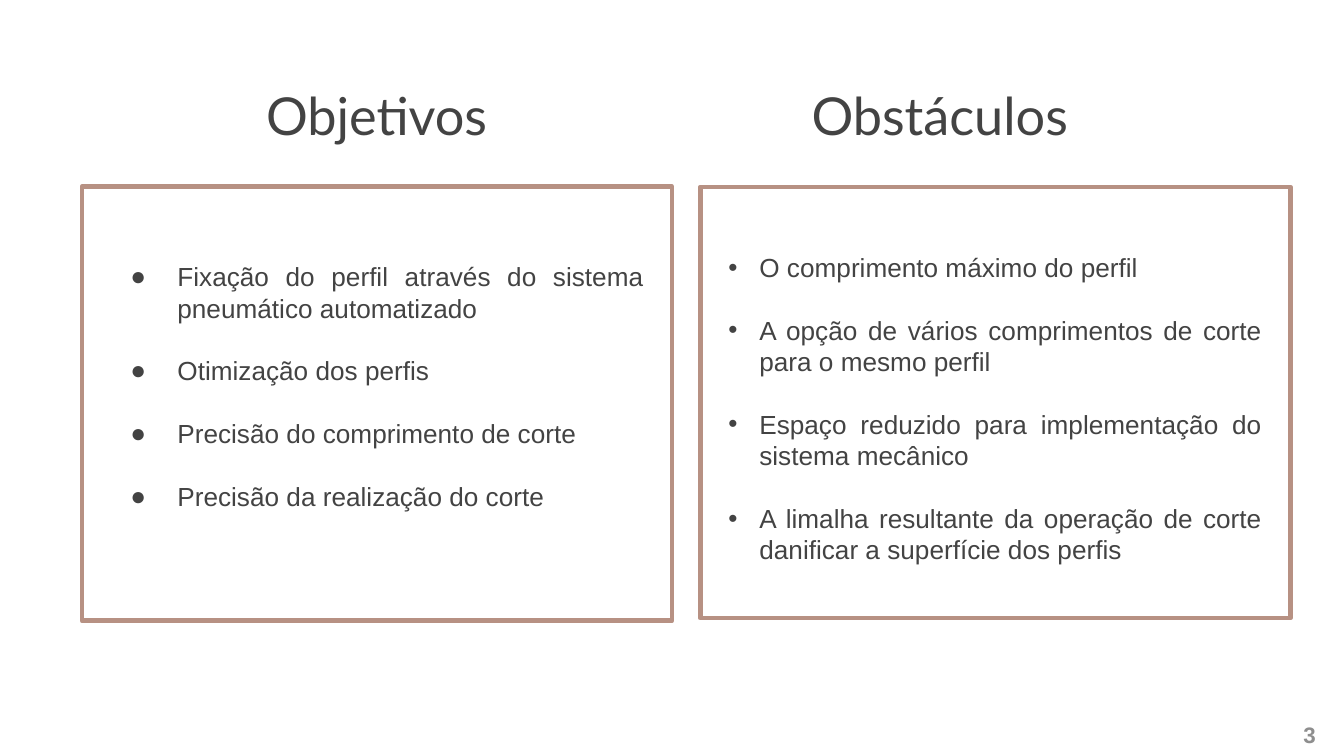
from dataclasses import dataclass

import lxml.etree
import pptx
import pptx.dml.color
import pptx.enum.shapes
import pptx.enum.text
import pptx.oxml.ns
import pptx.util

Inches = pptx.util.Inches
Pt = pptx.util.Pt
ALIGN = pptx.enum.text.PP_ALIGN
Box = tuple[float, float, float, float]


@dataclass(frozen=True)
class Theme:
    text: str = "434343"
    frame: str = "B79183"
    number: str = "8E8E8E"
    body_font: str = "Arial"
    title_font: str = "Lato"
    title_size: float = 28
    body_size: float = 14
    number_size: float = 12
    frame_width: float = 2.5
    line_spacing: float = 1.0
    item_gap: float = 16.8


@dataclass(frozen=True)
class Panel:
    heading: str
    heading_box: Box
    frame_box: Box
    list_box: Box
    bullet: str
    margin: float
    hanging: float
    items: tuple[str, ...]


THEME = Theme()
TITLE = {"name": THEME.title_font, "size": Pt(THEME.title_size), "bold": False}
BODY = {"name": THEME.body_font, "size": Pt(THEME.body_size)}
NUMBER = {"name": THEME.body_font, "size": Pt(THEME.number_size), "bold": True}

PANELS = (
    Panel("Objetivos", (1.88, 0.52, 2.83, 0.67), (0.61, 1.39, 4.39, 3.23),
          (0.75, 1.9, 4.11, 3.73), "●", 0.5, 0.35,
          ("Fixação do perfil através do sistema pneumático automatizado",
           "Otimização dos perfis",
           "Precisão do comprimento de corte",
           "Precisão da realização do corte")),
    Panel("Obstáculos", (5.94, 0.52, 3.93, 0.48), (5.21, 1.39, 4.39, 3.21),
          (5.35, 1.83, 4.11, 2.43), "•", 0.23, 0.23,
          ("O comprimento máximo do perfil",
           "A opção de vários comprimentos de corte para o mesmo perfil",
           "Espaço reduzido para implementação do sistema mecânico",
           "A limalha resultante da operação de corte danificar a superfície dos perfis")),
)


def rgb(color: str) -> pptx.dml.color.RGBColor:
    return pptx.dml.color.RGBColor.from_string(color)


def place(sp, box: Box) -> None:
    for name, value in zip(("left", "top", "width", "height"), box):
        setattr(sp, name, Inches(value))


def setup_frame(tf, inset_x: float, inset_y: float) -> None:
    values = {
        "margin_left": Inches(inset_x), "margin_right": Inches(inset_x),
        "margin_top": Inches(inset_y), "margin_bottom": Inches(inset_y),
        "word_wrap": True,
        "auto_size": pptx.enum.text.MSO_AUTO_SIZE.NONE,
        "vertical_anchor": pptx.enum.text.MSO_ANCHOR.TOP,
    }
    for name, value in values.items():
        setattr(tf, name, value)


def add_run(p, text: str, font: dict, color: str, align: ALIGN) -> None:
    p.alignment = align
    r = p.add_run()
    r.text = text
    for name, value in font.items():
        setattr(r.font, name, value)
    r.font.color.rgb = rgb(color)


def add_bullet(p, panel: Panel) -> None:
    pPr = p._p.get_or_add_pPr()
    pPr.set("marL", str(Inches(panel.margin)))
    pPr.set("indent", str(-Inches(panel.hanging)))
    qn = pptx.oxml.ns.qn
    clr = lxml.etree.SubElement(pPr, qn("a:buClr"))
    lxml.etree.SubElement(clr, qn("a:srgbClr"), val=THEME.text)
    lxml.etree.SubElement(pPr, qn("a:buFont"), typeface=THEME.body_font)
    lxml.etree.SubElement(pPr, qn("a:buChar"), char=panel.bullet)


def add_list(s, panel: Panel) -> None:
    sp = s.shapes.add_textbox(*map(Inches, panel.list_box))
    tf = sp.text_frame
    setup_frame(tf, 0.07, 0.04)
    for i, item in enumerate(panel.items):
        p = tf.add_paragraph() if i else tf.paragraphs[0]
        add_bullet(p, panel)
        p.line_spacing = THEME.line_spacing
        if i:
            p.space_before = Pt(THEME.item_gap)
        add_run(p, item, BODY, THEME.text, ALIGN.JUSTIFY)


def add_frame(s, box: Box) -> None:
    sp = s.shapes.add_shape(
        pptx.enum.shapes.MSO_SHAPE.RECTANGLE, *map(Inches, box))
    sp.shadow.inherit = False
    sp.fill.background()
    sp.line.color.rgb = rgb(THEME.frame)
    sp.line.width = Pt(THEME.frame_width)


def write_heading(sp, panel: Panel) -> None:
    place(sp, panel.heading_box)
    setup_frame(sp.text_frame, 0.1, 0.1)
    add_run(sp.text_frame.paragraphs[0], panel.heading, TITLE, THEME.text,
            ALIGN.JUSTIFY)


def add_number(s, text: str) -> None:
    sp = s.shapes.add_textbox(*map(Inches, (9.6, 5.32, 0.4, 0.3)))
    setup_frame(sp.text_frame, 0.1, 0.05)
    add_run(sp.text_frame.paragraphs[0], text, NUMBER, THEME.number, ALIGN.LEFT)


def main() -> None:
    prs = pptx.Presentation()
    # 16:9 page
    prs.slide_width, prs.slide_height = Inches(10), Inches(10 * 9 / 16)
    s = prs.slides.add_slide(prs.slide_layouts[5])

    # Framed lists
    for panel in PANELS:
        add_list(s, panel)
        add_frame(s, panel.frame_box)

    # Headings: the slide title, then a matching text box
    goals, obstacles = PANELS
    write_heading(s.shapes.title, goals)
    write_heading(s.shapes.add_textbox(0, 0, 0, 0), obstacles)

    # Page number
    add_number(s, "3")
    prs.save("out.pptx")


if __name__ == "__main__":
    main()
